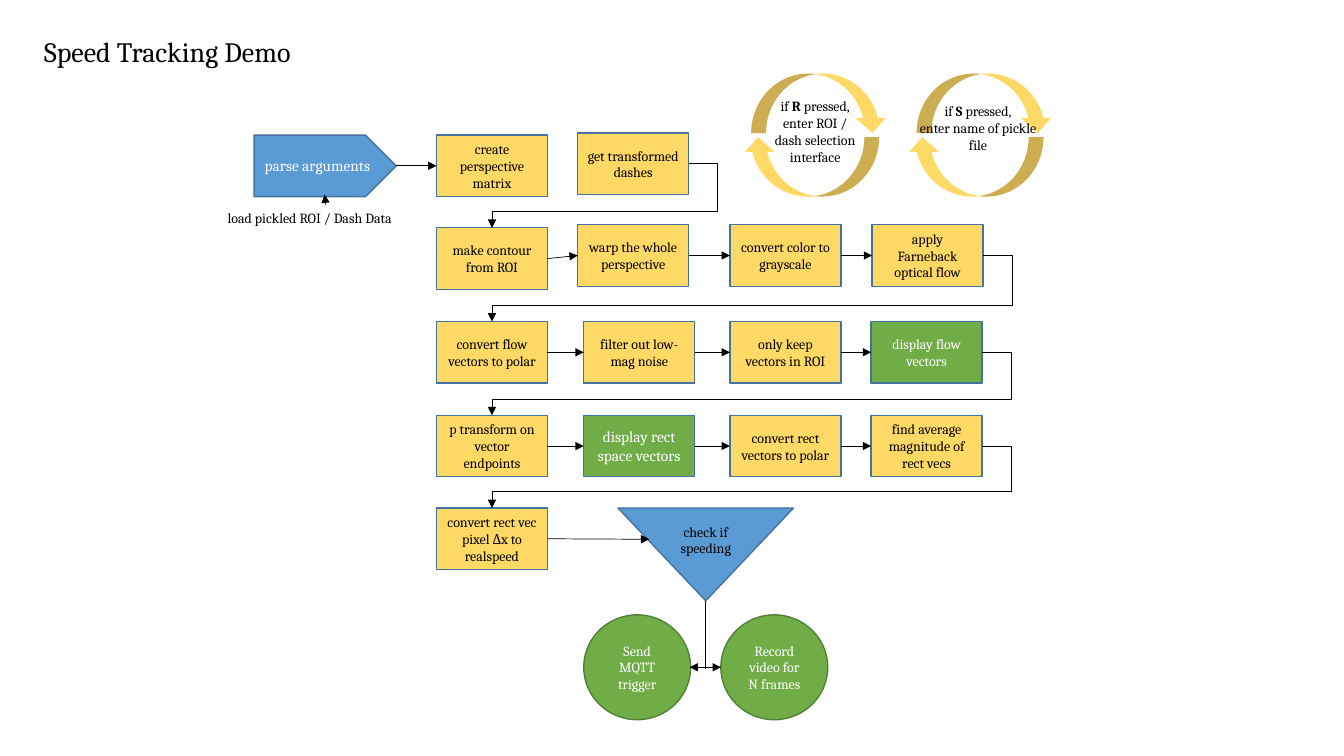
"""Build the Speed Tracking Demo flowchart slide."""
from itertools import pairwise

from lxml import etree
from pptx import Presentation
from pptx.dml.color import RGBColor
from pptx.enum.shapes import MSO_CONNECTOR as LINK, MSO_SHAPE as SHAPE
from pptx.enum.text import MSO_ANCHOR as ANCHOR, MSO_AUTO_SIZE as AUTO, PP_ALIGN as ALIGN
from pptx.oxml.ns import qn
from pptx.util import Emu, Pt

BLACK = RGBColor(0x00, 0x00, 0x00)
WHITE = RGBColor(0xFF, 0xFF, 0xFF)
YELLOW = RGBColor(0xFF, 0xD9, 0x66)
GREEN = RGBColor(0x70, 0xAD, 0x47)
BLUE = RGBColor(0x5B, 0x9B, 0xD5)
BLUE_EDGE = RGBColor(0x43, 0x73, 0x9E)
GREEN_EDGE = RGBColor(0x53, 0x80, 0x35)

FONT = "Cambria"
EMU_PER_PX = 9144
BOX_WIDTH, BOX_HEIGHT = 110, 61
TURN_OUT, TURN_ABOVE = 29, 16
SITE_TOP, SITE_LEFT, SITE_RIGHT = 0, 1, 3

STEP_ROWS = [
    [("create perspective matrix", 433, 134, YELLOW, 10),
     ("get transformed dashes", 573, 132, YELLOW, 10)],
    [("make contour from ROI", 433, 226, YELLOW, 10),
     ("warp the whole perspective", 573, 223, YELLOW, 10),
     ("convert color to grayscale", 724, 223, YELLOW, 10),
     ("apply Farneback optical flow", 865, 223, YELLOW, 10)],
    [("convert flow vectors to polar", 433, 319, YELLOW, 10),
     ("filter out low-mag noise", 579, 319, YELLOW, 10),
     ("only keep vectors in ROI", 724, 319, YELLOW, 10),
     ("display flow vectors", 864, 319, GREEN, 10)],
    [("p transform on vector endpoints", 433, 412, YELLOW, 10),
     ("display rect space vectors", 579, 412, GREEN, 11),
     ("convert rect vectors to polar", 724, 412, YELLOW, 10),
     ("find average magnitude of rect vecs", 864, 412, YELLOW, 10)],
    [("convert rect vec pixel Δx to realspeed", 433, 504, YELLOW, 10)],
]
OUTCOMES = [("Send MQTT trigger", 579), ("Record video for N frames", 715)]
CYCLE_ARROWS = [(745, 73, 0), (737, 136, 180), (909, 73, 0), (900, 136, 180)]
LABELS = [
    ([[("Speed Tracking Demo", False)]], (34, 29, 280, 44), 20, ALIGN.LEFT, False),
    ([[("load pickled ROI / Dash Data", False)]], (216, 203, 214, 50), 10, ALIGN.LEFT, True),
    ([[("if ", False), ("R", True), (" pressed,", False)],
      [("enter ROI /", False)], [("dash selection", False)], [("interface", False)]],
     (747, 92, 123, 89), 10, ALIGN.CENTER, False),
    ([[("if ", False), ("S", True), (" pressed,", False)],
      [("enter name of pickle file", False)]],
     (901, 97, 138, 70), 10, ALIGN.CENTER, True),
]


def px(*lengths):
    return [Emu(length * EMU_PER_PX) for length in lengths]


def write(frame, paragraphs, size, color, align):
    for index, runs in enumerate(paragraphs):
        paragraph = frame.add_paragraph() if index else frame.paragraphs[0]
        paragraph.alignment = align
        for text, bold in runs:
            run = paragraph.add_run()
            run.text = text
            run.font.color.rgb = color
            for name, value in {"name": FONT, "size": Pt(size), "bold": bold}.items():
                setattr(run.font, name, value)


def add_label(slide, paragraphs, place, size, align, wrap):
    frame = slide.shapes.add_textbox(*px(*place)).text_frame
    for name, value in {"word_wrap": wrap, "auto_size": AUTO.SHAPE_TO_FIT_TEXT}.items():
        setattr(frame, name, value)
    write(frame, paragraphs, size, BLACK, align)


def add_node(slide, kind, place, fill, edge=None, text="", size=10, color=BLACK):
    shape = slide.shapes.add_shape(kind, *px(*place))
    shape.shadow.inherit = False
    shape.fill.solid()
    shape.fill.fore_color.rgb = fill
    if edge is None:
        shape.line.fill.background()
    else:
        shape.line.color.rgb = edge
        shape.line.width = Pt(1)
    if text:
        shape.text_frame.vertical_anchor = ANCHOR.MIDDLE
        write(shape.text_frame, [[(text, False)]], size, color, ALIGN.CENTER)
    return shape


def add_link(slide, ends=(0, 0, 0, 0), kind=LINK.STRAIGHT, heads=("tailEnd",),
             source=None, target=None, target_site=SITE_LEFT):
    connector = slide.shapes.add_connector(kind, *px(*ends))
    if source is not None:
        connector.begin_connect(source, SITE_RIGHT)
    if target is not None:
        connector.end_connect(target, target_site)
    connector.line.color.rgb = BLACK
    connector.line.width = Pt(0.5)
    properties = connector.element.spPr
    for head in heads:
        etree.SubElement(properties.find(qn("a:ln")), qn(f"a:{head}"), type="triangle")
    etree.SubElement(properties, qn("a:effectLst"))
    return connector


def add_turn(slide, source, target):
    connector = add_link(slide, kind=LINK.ELBOW, source=source, target=target,
                         target_site=SITE_TOP)
    out, above = px(TURN_OUT, TURN_ABOVE)
    geometry = connector.element.spPr.find(qn("a:prstGeom"))
    geometry.set("prst", "bentConnector4")
    guides = geometry.find(qn("a:avLst"))
    if guides is None:
        guides = etree.SubElement(geometry, qn("a:avLst"))
    shares = {"adj1": -out / connector.width, "adj2": 1 - above / connector.height}
    for name, share in shares.items():
        etree.SubElement(guides, qn("a:gd"), name=name, fmla=f"val {round(share * 100000)}")


def main():
    presentation = Presentation()
    presentation.slide_width, presentation.slide_height = px(1333, 750)
    slide = presentation.slides.add_slide(presentation.slide_layouts[6])

    for left, top, rotation in CYCLE_ARROWS:
        arrow = add_node(slide, SHAPE.CURVED_DOWN_ARROW, (left, top, 135, 59), YELLOW)
        arrow.rotation = rotation
    for label in LABELS:
        add_label(slide, *label)

    parse_step = add_node(slide, SHAPE.PENTAGON, (252, 134, 141, 61), BLUE, BLUE_EDGE,
                          "parse arguments", 11, WHITE)
    rows = [[add_node(slide, SHAPE.RECTANGLE, (left, top, BOX_WIDTH, BOX_HEIGHT), fill,
                      BLUE_EDGE, text, size, WHITE if fill == GREEN else BLACK)
             for text, left, top, fill, size in row] for row in STEP_ROWS]
    speed_check = add_node(slide, SHAPE.FLOWCHART_MERGE, (613, 504, 174, 92), BLUE,
                           BLUE_EDGE, "check if speeding")
    speed_check.text_frame.margin_top = px(22)[0]
    for text, left in OUTCOMES:
        add_node(slide, SHAPE.OVAL, (left, 610, 106, 104), GREEN, GREEN_EDGE, text, 10, WHITE)

    add_link(slide, source=parse_step, target=rows[0][0])
    for row in rows[1:]:
        for source, target in pairwise(row):
            add_link(slide, source=source, target=target)
    for upper, lower in pairwise(rows):
        add_turn(slide, upper[-1], lower[0])
    add_link(slide, (323, 203, 322, 193))
    add_link(slide, (543, 535, 644, 535), source=rows[-1][0])
    add_link(slide, (700, 596, 700, 664), heads=())
    add_link(slide, (684, 662, 715, 662), heads=("headEnd", "tailEnd"))
    presentation.save("out.pptx")


if __name__ == "__main__":
    main()
